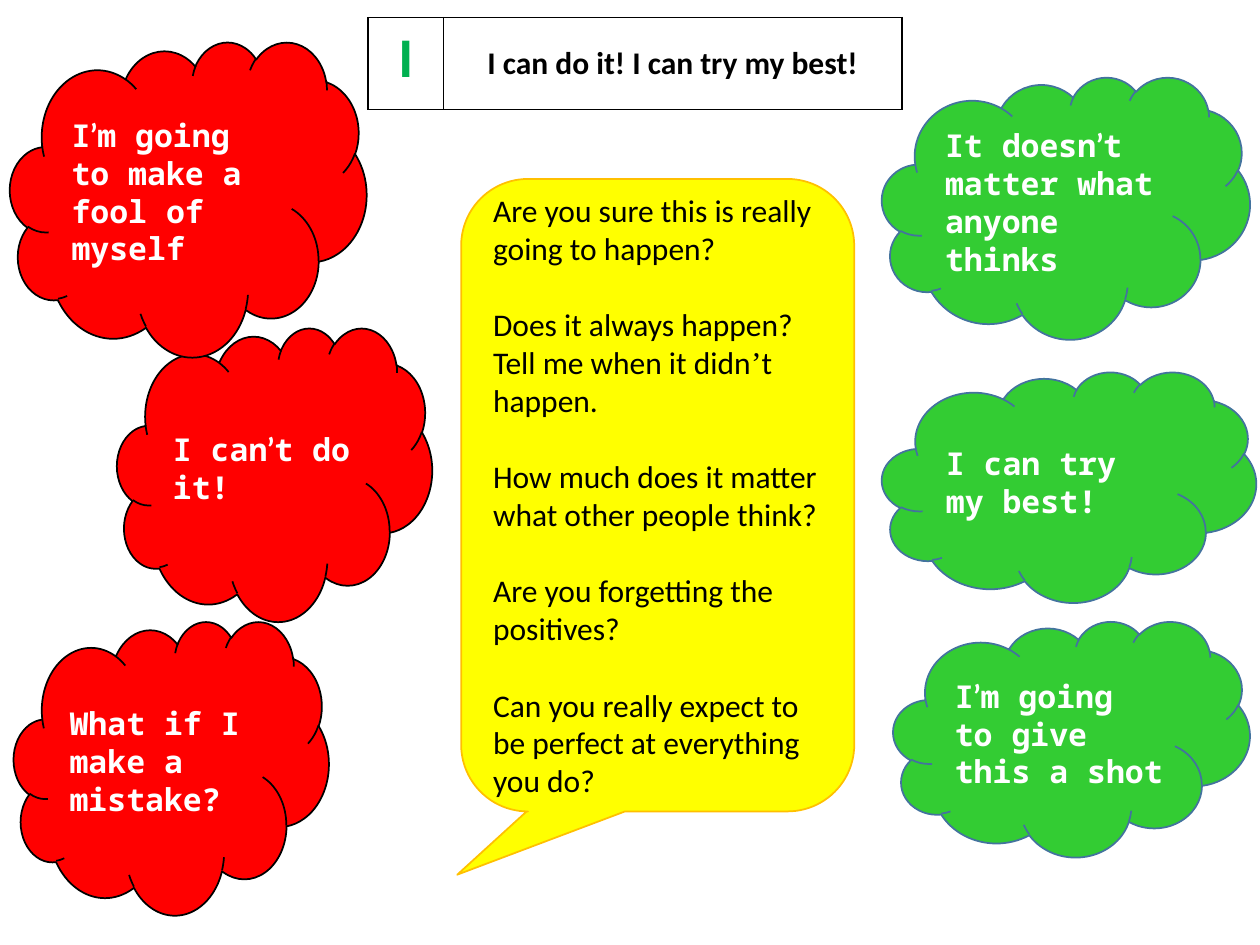
from pptx import Presentation
from pptx.dml.color import RGBColor
from pptx.enum.shapes import MSO_SHAPE as Shape
from pptx.enum.text import MSO_ANCHOR as Anchor, PP_ALIGN as Align
from pptx.oxml import parse_xml
from pptx.oxml.ns import nsdecls
from pptx.util import Inches, Pt

BLACK = RGBColor(0x00, 0x00, 0x00)
WHITE = RGBColor(0xFF, 0xFF, 0xFF)
RED = RGBColor(0xFF, 0x00, 0x00)
GREEN = RGBColor(0x33, 0xCC, 0x33)
BLUE = RGBColor(0x43, 0x73, 0x9E)
YELLOW = RGBColor(0xFF, 0xFF, 0x00)
AMBER = RGBColor(0xFF, 0xC0, 0x00)
LETTER_GREEN = RGBColor(0x00, 0xB0, 0x50)

BODY_FONT = "Calibri"
CLOUD_FONT = "Noto Sans Mono"
APOSTROPHE = "’"


class SlideBuilder:
    """Holds the text style and the current slide."""

    text_size = 18

    def __init__(self, slide):
        self.slide = slide

    def add_text(self, paragraph, text, font, color, bold=False, size=None,
                 align=Align.LEFT, apostrophe_font=None):
        """Fill a paragraph; apostrophes get a run in their own font."""
        paragraph.alignment = align
        style = paragraph.font
        style.size = Pt(size or self.text_size)
        style.bold = bold
        style.color.rgb = color
        before, mark, after = text.partition(APOSTROPHE)
        if not mark:
            style.name = font
        for part in filter(None, (before, mark, after)):
            run = paragraph.add_run()
            run.text = part
            if mark:
                run.font.name = apostrophe_font if part == mark else font

    def bubble(self, kind, box, fill, line):
        shape = self.slide.shapes.add_shape(kind, *map(Inches, box))
        shape.shadow.inherit = False
        shape.fill.solid()
        shape.fill.fore_color.rgb = fill
        shape.line.color.rgb = line
        shape.line.width = Pt(1)
        shape.text_frame.word_wrap = True
        shape.text_frame.vertical_anchor = Anchor.MIDDLE
        return shape

    def cloud(self, text, box, fill, line):
        shape = self.bubble(Shape.CLOUD, box, fill, line)
        self.add_text(shape.text_frame.paragraphs[0], text, CLOUD_FONT, WHITE,
                      bold=True, apostrophe_font="Lato")

    def callout(self, groups, box, fill, line, adjustments):
        shape = self.bubble(Shape.ROUNDED_RECTANGULAR_CALLOUT, box, fill, line)
        for index, value in enumerate(adjustments):
            shape.adjustments[index] = value
        frame = shape.text_frame
        paragraph = frame.paragraphs[0]
        for group_index, group in enumerate(groups):
            for line_index, text in enumerate(group):
                if group_index or line_index:
                    paragraph = frame.add_paragraph()
                if group_index and not line_index:
                    paragraph.space_before = Pt(22)
                self.add_text(paragraph, text, BODY_FONT, BLACK,
                              apostrophe_font="Times New Roman")

    def banner(self, cells, box, widths):
        table = self.slide.shapes.add_table(
            1, len(cells), *map(Inches, box)).table
        table.first_row = table.horz_banding = False
        for index, (text, color, size, anchor) in enumerate(cells):
            table.columns[index].width = Inches(widths[index])
            cell = table.cell(0, index)
            cell.vertical_anchor = anchor
            self.add_text(cell.text_frame.paragraphs[0], text, BODY_FONT,
                          color, bold=True, size=size, align=Align.CENTER)
            self.border(cell)
            cell.fill.background()

    def border(self, cell):
        properties = cell._tc.get_or_add_tcPr()
        for side in ("lnL", "lnR", "lnT", "lnB"):
            properties.append(parse_xml(
                f'<a:{side} {nsdecls("a")} w="{Pt(1)}"><a:solidFill>'
                f'<a:srgbClr val="{BLACK}"/></a:solidFill></a:{side}>'))


def main():
    deck = Presentation()
    deck.slide_width, deck.slide_height = Inches(10), Inches(7.5)
    builder = SlideBuilder(deck.slides.add_slide(deck.slide_layouts[6]))

    # Worries on the left; the last one overlaps the first
    worries = [
        ("I can’t do it!", (0.93, 2.6, 2.5, 2.33)),
        ("What if I make a mistake?", (0.11, 4.93, 2.5, 2.33)),
        ("I’m going to make a fool of myself", (0.08, 0.33, 2.83, 2.5)),
    ]
    for text, box in worries:
        builder.cloud(text, box, RED, BLACK)

    # Helpful thoughts on the right
    helpful_thoughts = [
        ("It doesn’t matter what anyone thinks", (7, 0.61, 2.92, 2.08)),
        ("I can try my best!", (7, 2.95, 2.97, 1.83)),
        ("I’m going to give this a shot", (7.09, 4.93, 2.83, 1.87)),
    ]
    for text, box in helpful_thoughts:
        builder.cloud(text, box, GREEN, BLUE)

    # Questions that challenge the worries
    questions = [
        ["Are you sure this is really going to happen?"],
        ["Does it always happen?", "Tell me when it didn’t happen."],
        ["How much does it matter what other people think?"],
        ["Are you forgetting the positives?"],
        ["Can you really expect to be perfect at everything you do?"],
    ]
    builder.callout(questions, (3.66, 1.42, 3.12, 5.02), YELLOW, AMBER,
                    (-0.51, 0.6, 0.17))

    # Letter and motto at the top
    motto = [
        ("I", LETTER_GREEN, 32, Anchor.TOP),
        ("I can do it! I can try my best!", BLACK, 18, Anchor.MIDDLE),
    ]
    builder.banner(motto, (2.92, 0.14, 4.24, 0.73), (0.6, 3.64))

    deck.save("out.pptx")


if __name__ == "__main__":
    main()
